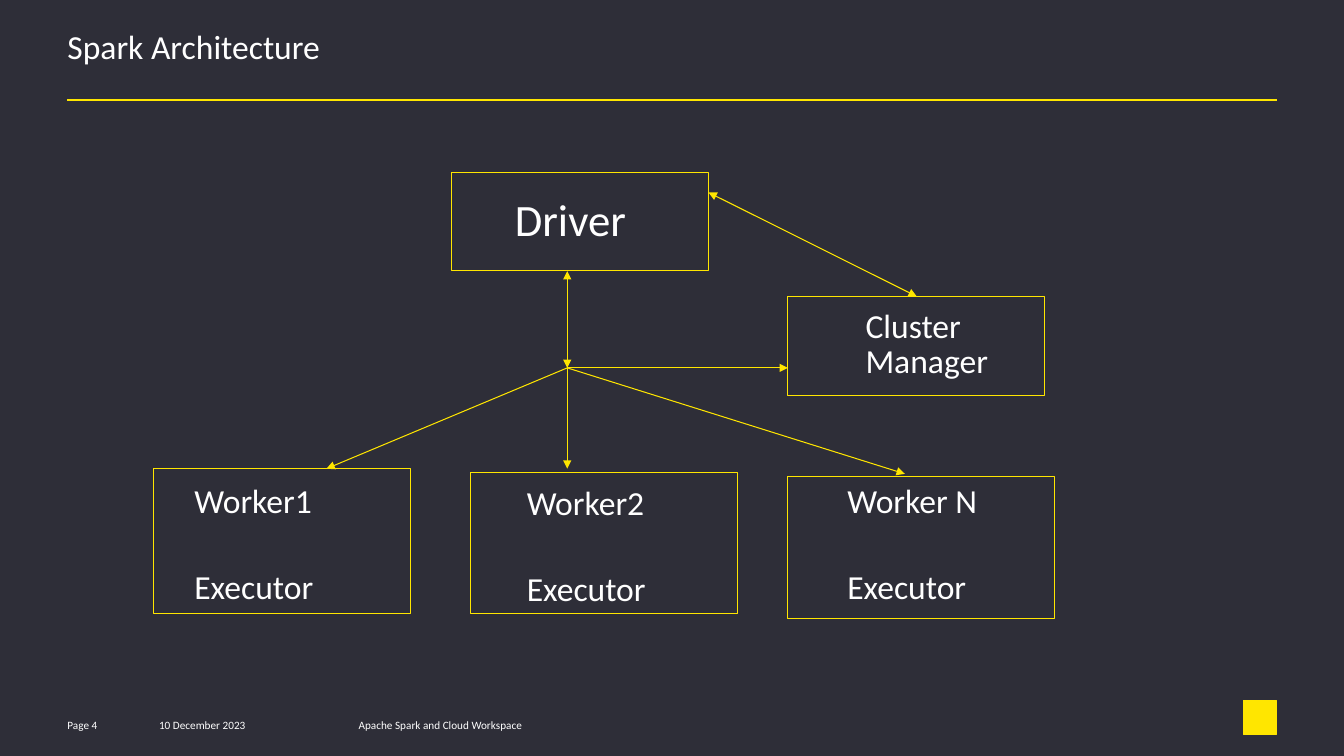
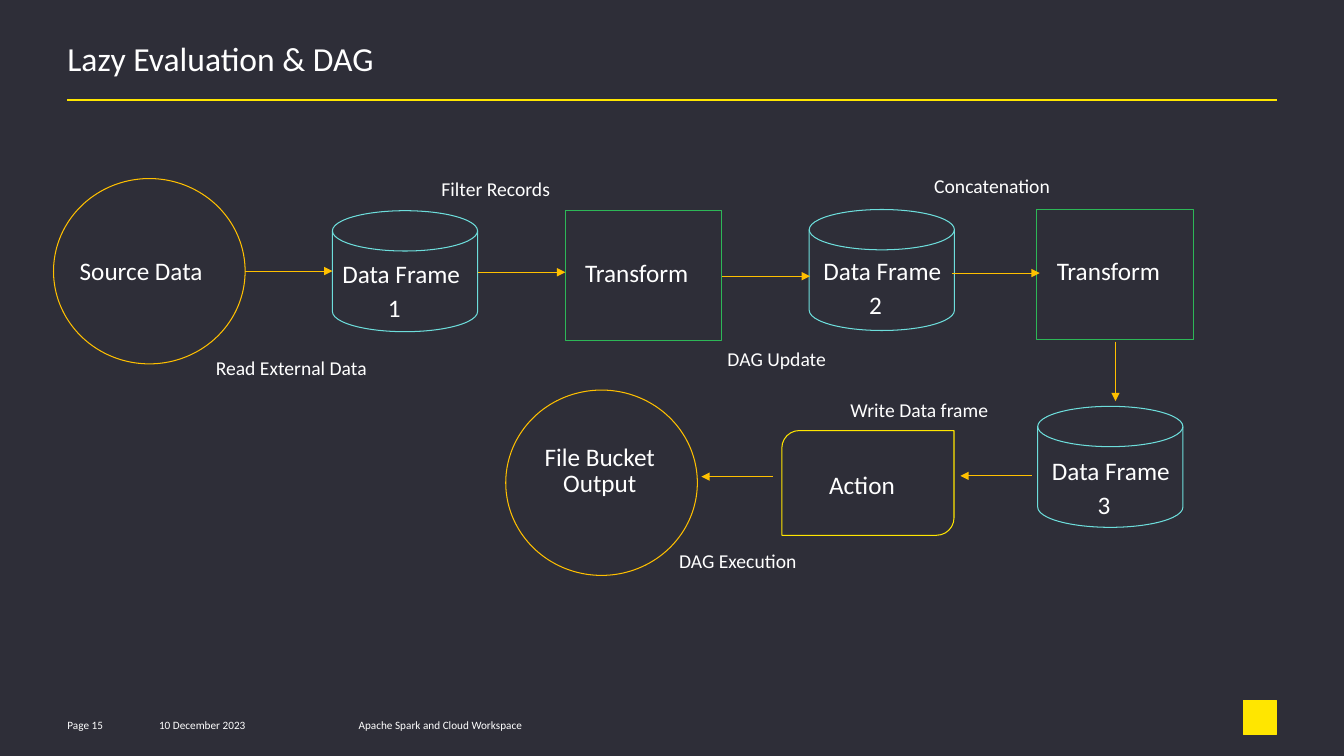
import pptx
import pptx.util
import pptx.dml.color
import pptx.enum.shapes
import pptx.enum.text
import pptx.oxml.ns
import lxml.etree

Cm = pptx.util.Cm
Pt = pptx.util.Pt
SHAPES = pptx.enum.shapes.MSO_SHAPE
ALIGN = pptx.enum.text.PP_ALIGN
COLORS = {
    "background": "2E2E38",
    "text": "FFFFFF",
    "accent": "FFE600",
    "flow": "FFC000",
    "frame": "6DDEDC",
    "transform": "2DB757",
}
FONT = "Calibri"


def rgb(name):
    return pptx.dml.color.RGBColor.from_string(COLORS[name])


def add_text(slide, text, x, y, width, height=1, size=18, spacing=0.85,
             after=6, top=0.1, align=ALIGN.LEFT, next_before=0, next_indent=0):
    frame = slide.shapes.add_textbox(Cm(x), Cm(y), Cm(width), Cm(height)).text_frame
    frame.word_wrap = True
    frame.margin_left = frame.margin_right = frame.margin_bottom = 0
    frame.margin_top = Cm(top)
    for index, line in enumerate(text.split("\n")):
        paragraph = frame.paragraphs[0] if index == 0 else frame.add_paragraph()
        if index and next_indent:
            paragraph._p.get_or_add_pPr().set("marL", str(Cm(next_indent)))
        if index and next_before:
            paragraph.space_before = Pt(next_before)
        paragraph.text = line
        paragraph.alignment = align
        paragraph.line_spacing = spacing
        paragraph.space_after = Pt(after)
        paragraph.font.name = FONT
        paragraph.font.size = Pt(size)
        paragraph.font.color.rgb = rgb("text")


class Deck:
    margin = 1.7
    right = 32.18

    def __init__(self):
        self.show = pptx.Presentation()
        self.show.slide_width = Cm(33.88)
        self.show.slide_height = Cm(19.05)
        self.slide = None

    def start(self, title, page, title_top):
        self.slide = self.show.slides.add_slide(self.show.slide_layouts[6])
        self.slide.background.fill.solid()
        self.slide.background.fill.fore_color.rgb = rgb("background")
        self.line((self.margin, 2.51), (self.right, 2.51), weight=1.5)
        footers = [
            (f"Page {page}", self.margin, 2),
            ("10 December 2023", 4.01, 3.5),
            ("Apache Spark and Cloud Workspace", 9.04, 8),
        ]
        for words, x, width in footers:
            add_text(self.slide, words, x, 18.11, width, 0.4, size=8,
                     spacing=1, after=0, top=0)
        emblem = self.box(SHAPES.RECTANGLE, 31.34, 17.65, 0.84, 0.86)
        emblem.fill.solid()
        emblem.fill.fore_color.rgb = rgb("accent")
        add_text(self.slide, title, self.margin, title_top, 30.5, 1.3,
                 size=24, after=0, top=0)

    def box(self, kind, x, y, width, height, color="accent"):
        shape = self.slide.shapes.add_shape(kind, Cm(x), Cm(y), Cm(width), Cm(height))
        shape.shadow.inherit = False
        shape.fill.background()
        shape.line.color.rgb = rgb(color)
        shape.line.width = Pt(0.75)
        return shape

    def node(self, kind, corner, extent, color, text, offset, width, **style):
        self.box(kind, *corner, *extent, color=color)
        self.label(text, corner[0] + offset[0], corner[1] + offset[1], width, **style)

    def label(self, text, x, y, width, **style):
        add_text(self.slide, text, x, y, width, **style)

    def line(self, start, end, color="accent", weight=0.75, ends=()):
        link = self.slide.shapes.add_connector(
            pptx.enum.shapes.MSO_CONNECTOR.STRAIGHT,
            Cm(start[0]), Cm(start[1]), Cm(end[0]), Cm(end[1]))
        link.line.color.rgb = rgb(color)
        link.line.width = Pt(weight)
        qn = pptx.oxml.ns.qn
        outline = link.line._get_or_add_ln()
        for end_name in ends:
            lxml.etree.SubElement(outline, qn(f"a:{end_name}"), type="triangle")
        lxml.etree.SubElement(link._element.spPr, qn("a:effectLst"))

    def arrow(self, start, end, color="accent", both=False):
        ends = ("headEnd", "tailEnd") if both else ("tailEnd",)
        self.line(start, end, color, ends=ends)


def architecture(deck):
    deck.start("Spark Architecture", 4, 0.81)
    deck.node(SHAPES.RECTANGLE, (11.38, 4.34), (6.48, 2.49), "accent",
              "Driver", (1.6, 0.61), 3.76, size=32)
    deck.node(SHAPES.RECTANGLE, (19.86, 7.47), (6.48, 2.49), "accent",
              "Cluster Manager", (1.96, 0.28), 3.76, size=24)
    workers = [
        ("Worker1", (3.86, 11.81), (6.48, 3.66), (1.04, 0.33)),
        ("Worker2", (11.86, 11.91), (6.73, 3.56), (1.42, 0.28)),
        ("Worker N", (19.86, 12.01), (6.73, 3.58), (1.5, 0.13)),
    ]
    for name, corner, extent, offset in workers:
        deck.node(SHAPES.RECTANGLE, corner, extent, "accent", f"{name}\nExecutor",
                  offset, 4.5, height=3.1, size=24, next_before=31)

    hub = (14.3, 9.27)
    for target in [(8.23, 11.81), (14.3, 11.81), (22.81, 11.94), (19.86, 9.27)]:
        deck.arrow(hub, target)
    deck.arrow((14.3, 6.83), hub, both=True)
    deck.arrow((17.86, 4.85), (23.11, 7.47), both=True)


def lazy_evaluation(deck):
    deck.start("Lazy Evaluation & DAG", 15, 1.12)
    circle = (4.83, 4.67)
    deck.node(SHAPES.OVAL, (1.35, 4.5), circle, "flow",
              "Source Data", (0.66, 1.95), 3.5)
    deck.node(SHAPES.OVAL, (12.75, 9.83), circle, "flow",
              "File Bucket Output", (0.81, 1.32), 3.12, align=ALIGN.CENTER)
    frames = [
        (1, (8.38, 5.31), (0.25, 1.22)),
        (2, (20.4, 5.28), (0.36, 1.17)),
        (3, (26.16, 10.24), (0.36, 1.24)),
    ]
    for number, corner, offset in frames:
        deck.node(SHAPES.FLOWCHART_MAGNETIC_DISK, corner, (3.66, 3.05), "frame",
                  f"Data Frame\n{number}", offset, 3.3, next_indent=1.15)
    for corner in [(14.25, 5.31), (26.14, 5.28)]:
        deck.node(SHAPES.RECTANGLE, corner, (3.94, 3.28), "transform",
                  "Transform", (0.5, 1.18), 2.95)
    deck.node(SHAPES.ROUND_2_DIAG_RECTANGLE, (19.71, 10.85), (4.34, 2.64), "accent",
              "Action", (1.19, 0.99), 1.88)

    steps = [
        ((6.17, 6.83), (8.38, 6.83)),
        ((12.04, 6.86), (14.25, 6.86)),
        ((18.21, 6.96), (20.42, 6.96)),
        ((24, 6.88), (26.21, 6.88)),
        ((28.12, 8.61), (28.12, 10.11)),
        ((26.01, 11.99), (24.21, 11.99)),
        ((19.48, 12.01), (17.68, 12.01)),
    ]
    for start, end in steps:
        deck.arrow(start, end, "flow")

    captions = [
        ("Read External Data", 5.44, 8.97),
        ("Filter Records", 11.13, 4.45),
        ("Concatenation", 23.55, 4.37),
        ("Write Data frame", 21.44, 10.01),
        ("DAG Update", 18.34, 8.74),
        ("DAG Execution", 17.12, 13.82),
    ]
    for words, x, y in captions:
        deck.label(words, x, y, 4.3, height=0.6, size=14)


def main():
    deck = Deck()
    architecture(deck)
    lazy_evaluation(deck)
    deck.show.save("out.pptx")


if __name__ == "__main__":
    main()
